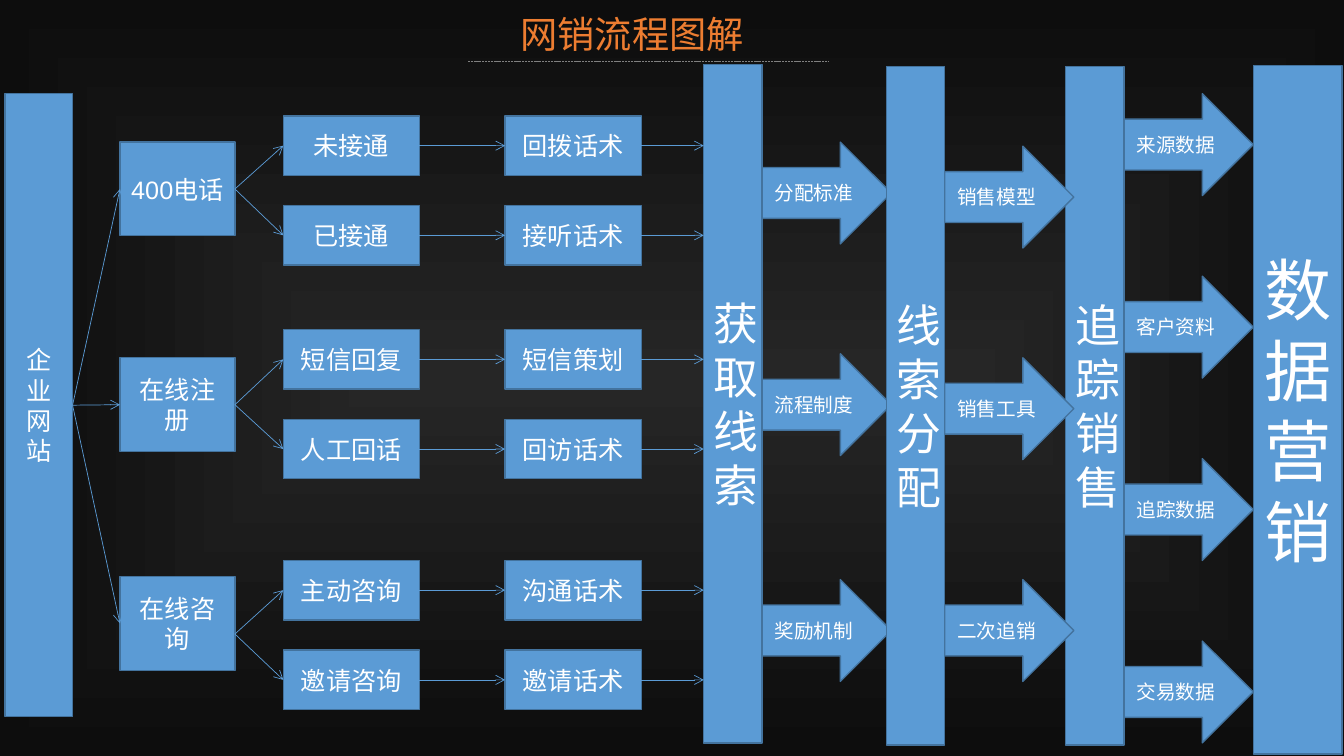
from lxml import etree
from pptx import Presentation
from pptx.dml.color import RGBColor
from pptx.enum.dml import MSO_LINE
from pptx.enum.shapes import MSO_CONNECTOR, MSO_SHAPE
from pptx.enum.text import MSO_ANCHOR, MSO_AUTO_SIZE, PP_ALIGN
from pptx.oxml.ns import qn
from pptx.util import Inches, Pt

RECT, ARROW = MSO_SHAPE.RECTANGLE, MSO_SHAPE.RIGHT_ARROW
LINE, DASH = MSO_CONNECTOR.STRAIGHT, MSO_LINE.SQUARE_DOT
CENTER, MIDDLE = PP_ALIGN.CENTER, MSO_ANCHOR.MIDDLE
GROW = MSO_AUTO_SIZE.SHAPE_TO_FIT_TEXT
LEFT, RIGHT = 1, 3
BLUE, EDGE, WHITE, ORANGE, GREY = "5B9BD5", "43739E", "FFFFFF", "ED7D31", "808080"

CELL = 0.1
PAIR_GAP = 8.9
FAN_DROP = 7.3
BRANCHES = [
    ("400电话", 4.8, 2.2, [("未接通", "回拨话术"), ("已接通", "接听话术")]),
    ("在线注册", 26.2, 23.4, [("短信回复", "短信策划"), ("人工回话", "回访话术")]),
    ("在线咨询", 47.9, 46.3, [("主动咨询", "沟通话术"), ("邀请咨询", "邀请话术")]),
]
STAGES = [
    ("获取线索", (0, 0, 5.8, 67.3), 32,
     [("分配标准", 7.7), ("流程制度", 28.7), ("奖励机制", 51.1)]),
    ("追踪销售", (35.9, 0.2, 5.8, 67.3), 32,
     [(name, 2.9 + 18.1 * k) for k, name in
      enumerate(["来源数据", "客户资料", "追踪数据", "交易数据"])]),
    ("数据营销", (54.5, 0.1, 8.8, 68.3), 48, []),
    ("线索分配", (18.1, 0.2, 5.8, 67.3), 32,
     [("销售模型", 8.1), ("销售工具", 29.1), ("二次追销", 51.1)]),
]


def color(text):
    """Turn a hex string into a colour."""
    return RGBColor.from_string(text)


def cells(*counts):
    """Turn counts of grid cells into lengths."""
    return [Inches(n * CELL) for n in counts]


def apply(item, **values):
    """Set each named value on the item."""
    for name, value in values.items():
        setattr(item, name, value)


def write(shape, text, size, shade=WHITE, **frame):
    """Put one centred line of text in a shape."""
    apply(shape.text_frame, word_wrap=True, **frame)
    para = shape.text_frame.paragraphs[0]
    para.alignment = CENTER
    run = para.add_run()
    run.text = text
    apply(run.font, name="Arial", size=Pt(size))
    run.font.color.rgb = color(shade)


def block(slide, kind, box, text, size):
    """Draw a blue labelled shape in a box of cells."""
    shape = slide.shapes.add_shape(kind, *cells(*box))
    shape.shadow.inherit = False
    shape.fill.solid()
    shape.fill.fore_color.rgb = color(BLUE)
    shape.line.color.rgb = color(EDGE)
    shape.line.width = Pt(1)
    write(shape, text, size, vertical_anchor=MIDDLE)
    return shape


def rule(slide, start, end, shade):
    """Draw a thin line between two points."""
    line = slide.shapes.add_connector(LINE, *start, *end)
    line.line.color.rgb = color(shade)
    line.line.width = Pt(0.5)
    etree.SubElement(line._element.spPr, qn("a:effectLst"))
    return line


def port(shape, side):
    """Find the middle of a shape's left or right side."""
    x = shape.left + (shape.width if side == RIGHT else 0)
    return x, shape.top + shape.height // 2


def wire(slide, first, last, start=None, end=None):
    """Draw an arrow, joined to each shape unless a point is given."""
    line = rule(slide, start or port(first, RIGHT), end or port(last, LEFT), BLUE)
    if not start:
        line.begin_connect(first, RIGHT)
    if not end:
        line.end_connect(last, LEFT)
    etree.SubElement(line.line._get_or_add_ln(), qn("a:tailEnd"), type="arrow")


def backdrop(slide):
    """Fill the slide with a dark gradient from its centre."""
    fill = slide.background.fill
    fill.gradient()
    for stop, shade in zip(fill.gradient_stops, ("262626", "0D0D0D")):
        stop.color.rgb = color(shade)
    old = slide.element.find(".//" + qn("a:lin"))
    grad = old.getparent()
    grad.remove(old)
    shade = etree.SubElement(grad, qn("a:path"))
    shade.set("path", "shape")
    etree.SubElement(shade, qn("a:fillToRect"), l="50000", t="50000",
                     r="50000", b="50000")


def intake(slide, box):
    """Place the site, its channels, steps and scripts."""
    x, y, w, h = box
    site = block(slide, RECT, (x, y, 6.7, h), "企业网站", 18)
    for name, top, first, pairs in BRANCHES:
        branch = block(slide, RECT, (x + 11.4, y + top, 11.4, 9.3), name, 18)
        wire(slide, site, branch)
        offset = abs(first + FAN_DROP - top - 9.3 / 2)
        fan = cells(x + 22.8, y + first + FAN_DROP) if offset > 0.3 else None
        for k, (step, script) in enumerate(pairs):
            row = y + first + k * PAIR_GAP
            left = block(slide, RECT, (x + 27.6, row, 13.5, 5.9), step, 18)
            right = block(slide, RECT, (x + 49.6, row, 13.5, 5.9), script, 18)
            wire(slide, branch, left, start=fan)
            wire(slide, left, right)
            wire(slide, right, None, end=cells(x + w, row + 5.9 / 2))


def stages(slide, box):
    """Place the tall stage bars and the arrows that leave them."""
    x, y = box[:2]
    for name, (left, top, wide, high), size, arrows in STAGES:
        block(slide, RECT, (x + left, y + top, wide, high), name, size)
        for text, drop in arrows:
            block(slide, ARROW, (x + left + wide, y + drop, 12.8, 10.1), text, 14)


def title(slide, box):
    """Place the heading and its dashed underline."""
    x, y, w, h = box
    head = slide.shapes.add_textbox(*cells(*box))
    side, edge = Inches(0.13), Inches(0.07)
    write(head, "网销流程图解", 26.6, ORANGE, auto_size=GROW, margin_left=side,
          margin_right=side, margin_top=edge, margin_bottom=edge)
    line = rule(slide, cells(x + 5.9, y + h - 0.1), cells(x + w - 2.7, y + h - 0.1), GREY)
    line.line.dash_style = DASH


def main():
    """Build and save the slide."""
    deck = Presentation()
    apply(deck, slide_width=Inches(13.33), slide_height=Inches(7.5))
    slide = deck.slides.add_slide(deck.slide_layouts[6])
    backdrop(slide)
    stages(slide, (69.8, 6.4, 63.3, 68.4))
    intake(slide, (0.5, 9.3, 69.3, 61.8))
    title(slide, (40.5, 0.4, 44.4, 5.8))
    deck.save("out.pptx")


if __name__ == "__main__":
    main()
